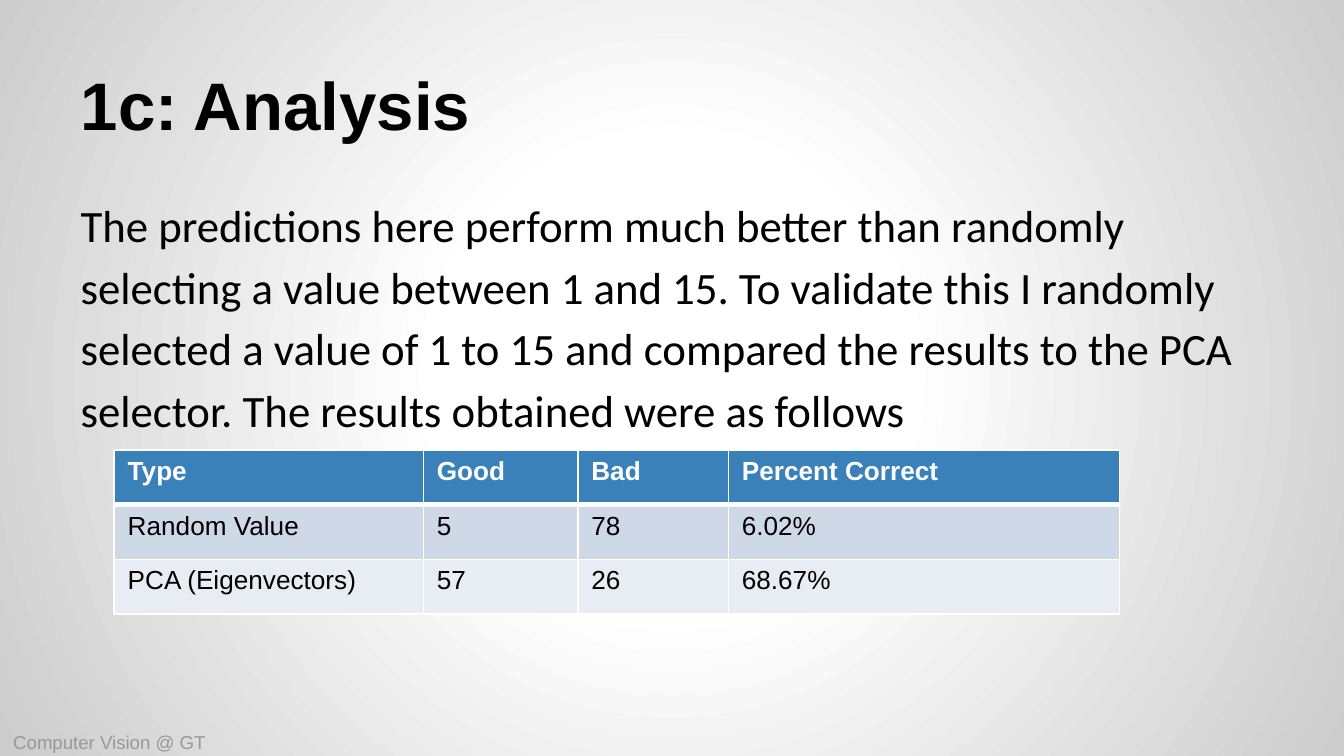
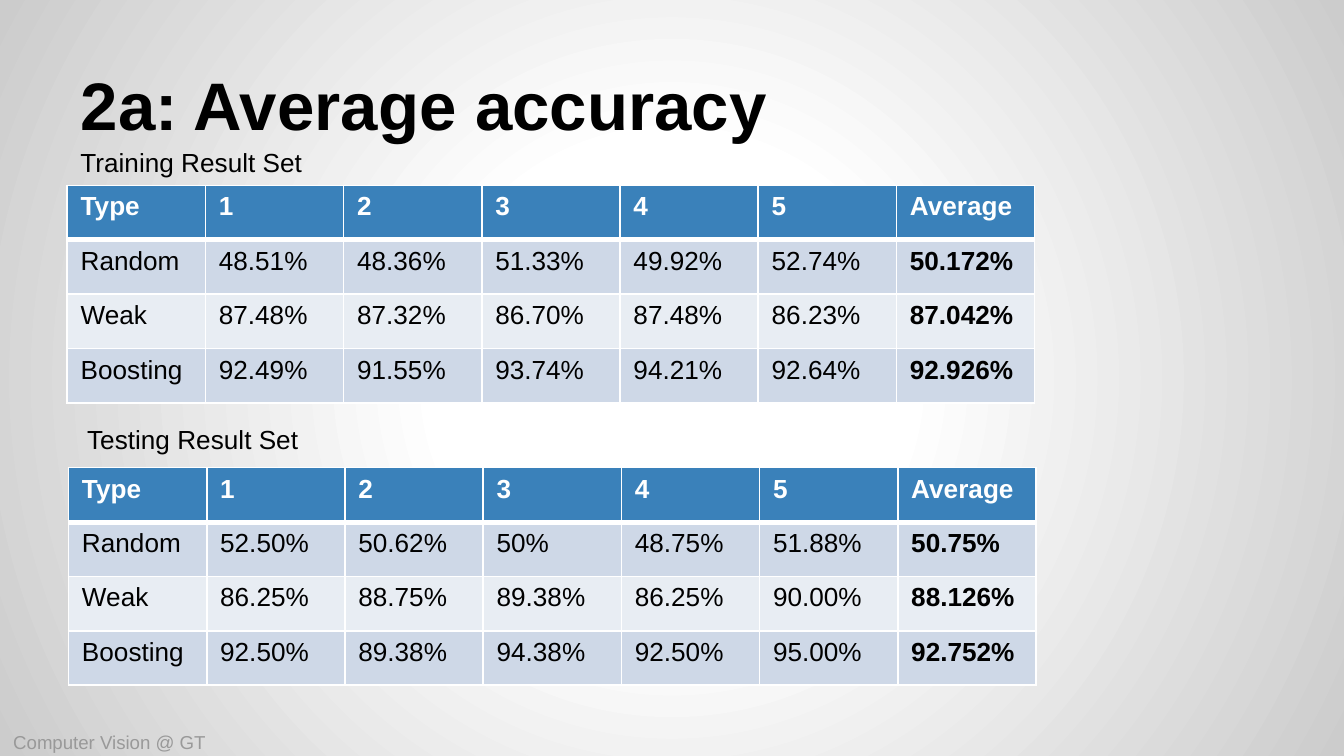
from dataclasses import dataclass

from lxml.etree import SubElement
from pptx import Presentation
from pptx.dml.color import RGBColor
from pptx.enum.text import MSO_ANCHOR as Anchor, MSO_AUTO_SIZE as AutoSize, PP_ALIGN as Align
from pptx.oxml import parse_xml
from pptx.oxml.ns import nsdecls, qn
from pptx.util import Inches, Pt


@dataclass(frozen=True)
class Theme:
    ink: str = "000000"
    white: str = "FFFFFF"
    muted: str = "999999"
    edge: str = "CCCCCC"
    header: str = "3A81BA"
    bands: tuple = ("CED8E7", "E8EDF3")
    font: str = "Arial"
    body_font: str = "Calibri"
    title_size: int = 36
    body_size: int = 24
    table_size: int = 14
    footer_size: int = 10
    rule: int = 1
    header_rule: int = 3


THEME = Theme()
SLIDE_WIDTH = 10
SLIDE_HEIGHT = SLIDE_WIDTH * 9 / 16
TITLE_BOX = (0.5, 0.23, 9.39, 0.94)
BODY_BOX = (0.5, 1.31, 9, 4.07)
FOOTER_BOX = (0, 5.41, 2.81, 0.22)
TITLE_AND_BODY, TITLE_ONLY = 1, 5

COMPARISON = [
    ["Type", "Good", "Bad", "Percent Correct"],
    ["Random Value", "5", "78", "6.02%"],
    ["PCA (Eigenvectors)", "57", "26", "68.67%"],
]
ACCURACY_HEADER = ["Type", "1", "2", "3", "4", "5", "Average"]
TRAINING = [
    ACCURACY_HEADER,
    ["Random", "48.51%", "48.36%", "51.33%", "49.92%", "52.74%", "50.172%"],
    ["Weak", "87.48%", "87.32%", "86.70%", "87.48%", "86.23%", "87.042%"],
    ["Boosting", "92.49%", "91.55%", "93.74%", "94.21%", "92.64%", "92.926%"],
]
TESTING = [
    ACCURACY_HEADER,
    ["Random", "52.50%", "50.62%", "50%", "48.75%", "51.88%", "50.75%"],
    ["Weak", "86.25%", "88.75%", "89.38%", "86.25%", "90.00%", "88.126%"],
    ["Boosting", "92.50%", "89.38%", "94.38%", "92.50%", "95.00%", "92.752%"],
]


def write(frame, text, size, color=THEME.ink, font=THEME.font, bold=False):
    frame.text = text
    paragraph = frame.paragraphs[0]
    paragraph.alignment = Align.LEFT
    for run in paragraph.runs:
        run.font.size = Pt(size)
        run.font.name = font
        run.font.bold = bold
        run.font.color.rgb = RGBColor.from_string(color)
    return paragraph


def pad(frame, inset=0.1):
    frame.margin_left = frame.margin_right = Inches(inset)
    frame.margin_top = frame.margin_bottom = Inches(inset)
    frame.word_wrap = True
    frame.auto_size = AutoSize.NONE


def place(shape, box):
    shape.left, shape.top, shape.width, shape.height = map(Inches, box)


def paint_background(master):
    master.background.fill.solid()
    solid = master.element.find(".//" + qn("p:bgPr")).find(qn("a:solidFill"))
    stops = "".join(
        f'<a:gs pos="{percent * 1000}"><a:srgbClr val="{color}"/></a:gs>'
        for percent, color in ((0, THEME.white), (30, THEME.white), (100, THEME.edge))
    )
    glow = parse_xml(
        f'<a:gradFill {nsdecls("a")} rotWithShape="1"><a:gsLst>{stops}</a:gsLst>'
        '<a:path path="circle"><a:fillToRect l="50000" t="50000" r="50000" b="50000"/></a:path>'
        "</a:gradFill>"
    )
    solid.getparent().replace(solid, glow)


def add_footer(slide, box):
    footer = slide.shapes.add_textbox(*map(Inches, box)).text_frame
    pad(footer)
    footer.vertical_anchor = Anchor.MIDDLE
    write(footer, "Computer Vision @ GT", THEME.footer_size, THEME.muted)


def start_slide(prs, layout, heading):
    slide = prs.slides.add_slide(prs.slide_layouts[layout])
    title = slide.shapes.title
    place(title, TITLE_BOX)
    pad(title.text_frame)
    title.text_frame.vertical_anchor = Anchor.BOTTOM
    write(title.text_frame, heading, THEME.title_size, bold=True)
    add_footer(slide, FOOTER_BOX)
    return slide


def add_body(slide, box, text):
    body = slide.placeholders[1]
    place(body, box)
    pad(body.text_frame)
    paragraph = write(body.text_frame, text, THEME.body_size, font=THEME.body_font)
    paragraph.line_spacing = 1.15
    paragraph.space_before = Pt(0)
    properties = paragraph._p.get_or_add_pPr()
    properties.set("marL", "0")
    properties.set("indent", "0")
    SubElement(properties, qn("a:buNone"))


def rule_cell(cell, top, bottom):
    properties = cell._tc.get_or_add_tcPr()
    edges = (("L", THEME.rule), ("R", THEME.rule), ("T", top), ("B", bottom))
    for position, (side, points) in enumerate(edges):
        properties.insert(position, parse_xml(
            f'<a:ln{side} {nsdecls("a")} w="{Pt(points)}"><a:solidFill>'
            f'<a:srgbClr val="{THEME.white}"/></a:solidFill></a:ln{side}>'
        ))


def add_results(slide, box, rows, widths=None, bold_last=False):
    left, top, width, height = box
    columns = len(rows[0])
    widths = widths or [width / columns] * columns
    table = slide.shapes.add_table(len(rows), columns, *map(Inches, box)).table
    table.horz_banding = False
    for column, column_width in zip(table.columns, widths):
        column.width = Inches(column_width)
    for r, values in enumerate(rows):
        table.rows[r].height = Inches(height / len(rows))
        is_header = r == 0
        fill = THEME.header if is_header else THEME.bands[(r - 1) % 2]
        for c, value in enumerate(values):
            cell = table.cell(r, c)
            bold = is_header or (bold_last and c == columns - 1)
            write(cell.text_frame, value, THEME.table_size,
                  THEME.white if is_header else THEME.ink, bold=bold)
            cell.fill.solid()
            cell.fill.fore_color.rgb = RGBColor.from_string(fill)
            rule_cell(cell,
                      THEME.header_rule if r == 1 else THEME.rule,
                      THEME.header_rule if is_header else THEME.rule)


def add_caption(slide, box, text):
    caption = slide.shapes.add_textbox(*map(Inches, box)).text_frame
    caption.word_wrap = True
    caption.auto_size = AutoSize.SHAPE_TO_FIT_TEXT
    write(caption, text, THEME.table_size)


def analysis_slide(prs):
    slide = start_slide(prs, TITLE_AND_BODY, "1c: Analysis")
    add_body(slide, BODY_BOX,
             "The predictions here perform much better than randomly selecting a value "
             "between 1 and 15. To validate this I randomly selected a value of 1 to 15 "
             "and compared the results to the PCA selector. The results obtained were "
             "as follows")
    add_results(slide, (0.85, 3.35, 7.48, 1.22), COMPARISON, (2.3, 1.15, 1.12, 2.91))


def accuracy_slide(prs):
    slide = start_slide(prs, TITLE_ONLY, "2a: Average accuracy")
    add_results(slide, (0.5, 1.38, 7.2, 1.62), TRAINING, bold_last=True)
    add_results(slide, (0.51, 3.48, 7.2, 1.62), TESTING, bold_last=True)
    add_caption(slide, (0.5, 1.04, 3.35, 0.34), "Training Result Set")
    add_caption(slide, (0.55, 3.1, 3.35, 0.34), "Testing Result Set")


def main():
    prs = Presentation()
    prs.slide_width, prs.slide_height = Inches(SLIDE_WIDTH), Inches(SLIDE_HEIGHT)
    paint_background(prs.slide_master)
    analysis_slide(prs)
    accuracy_slide(prs)
    prs.save("out.pptx")


if __name__ == "__main__":
    main()
